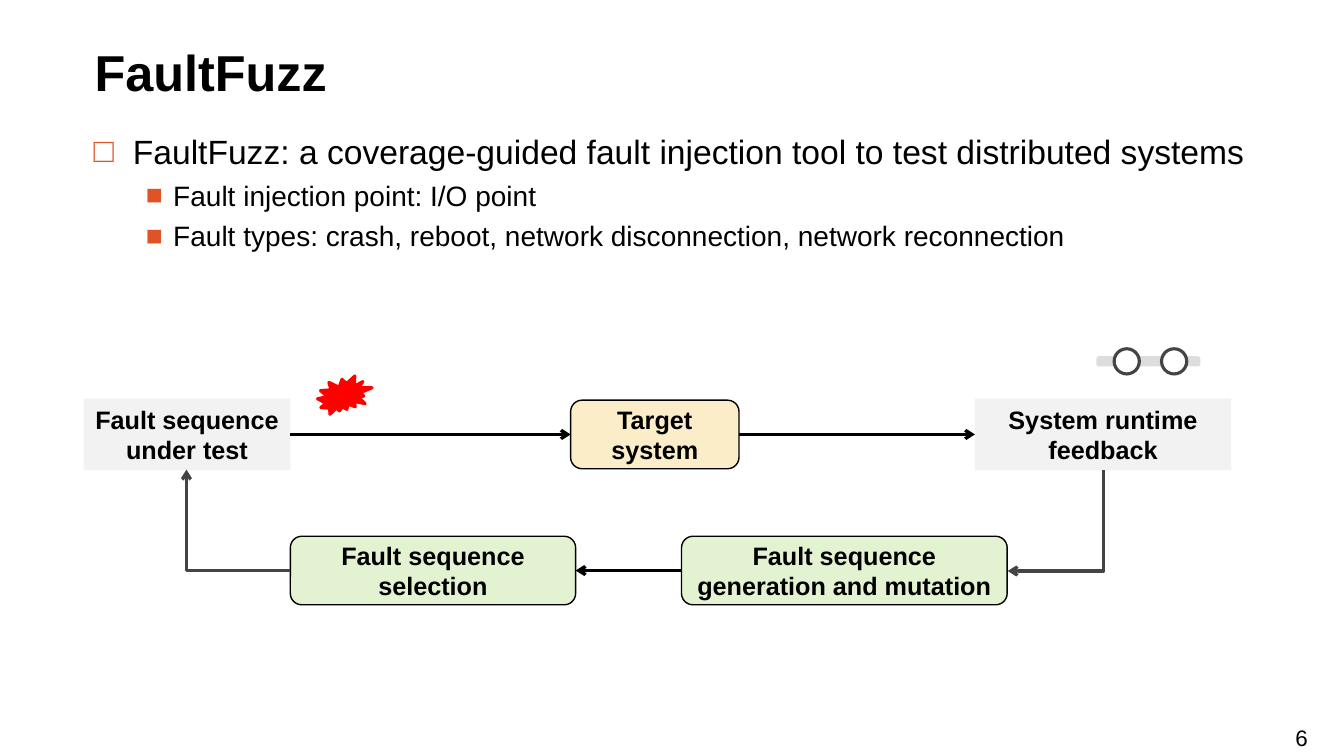
import pptx
import pptx.util
import pptx.dml.color
import pptx.enum.shapes
import pptx.enum.text
import lxml.etree

Inches, Pt = pptx.util.Inches, pptx.util.Pt
RGBColor = pptx.dml.color.RGBColor
SHAPE = pptx.enum.shapes.MSO_SHAPE
CONNECTOR = pptx.enum.shapes.MSO_CONNECTOR
ANCHOR = pptx.enum.text.MSO_ANCHOR
ALIGN = pptx.enum.text.PP_ALIGN

BLACK = RGBColor(0, 0, 0)
WHITE = RGBColor(0xFF, 0xFF, 0xFF)
DARK_GRAY = RGBColor(0x44, 0x44, 0x44)
MID_GRAY = RGBColor(0xDD, 0xDD, 0xDD)
LIGHT_GRAY = RGBColor(0xF2, 0xF2, 0xF2)
CREAM = RGBColor(0xFC, 0xED, 0xC9)
GREEN = RGBColor(0xE3, 0xF3, 0xD1)
RED = RGBColor(0xFF, 0, 0)
ORANGE = RGBColor(0xDF, 0x53, 0x27)

deck = pptx.Presentation()
deck.slide_width, deck.slide_height = Inches(13.33), Inches(7.5)
slide = deck.slides.add_slide(deck.slide_layouts[6])
shapes = slide.shapes


def add_figure(kind, left, top, width, height, fill, line=None, weight=2.25):
    figure = shapes.add_shape(kind, Inches(left), Inches(top), Inches(width), Inches(height))
    figure.shadow.inherit = False
    figure.fill.solid()
    figure.fill.fore_color.rgb = fill
    if line is None:
        figure.line.fill.background()
    else:
        figure.line.color.rgb = line
        figure.line.width = Pt(weight)
    return figure


def add_arrow(kind, start, end, color):
    arrow = shapes.add_connector(kind, *(Inches(n) for n in start + end))
    arrow.line.color.rgb = color
    arrow.line.width = Pt(2.25)
    properties = arrow._element.spPr
    outline = properties.find(pptx.oxml.ns.qn("a:ln"))
    lxml.etree.SubElement(outline, pptx.oxml.ns.qn("a:tailEnd"), type="arrow")
    lxml.etree.SubElement(properties, pptx.oxml.ns.qn("a:effectLst"))
    return arrow


# Title, bullets and page number: place, anchor, alignment, (text, size, bold, bullet, indent, hang)
texts = [
    ((0.84, 0.33, 11.67, 0.73), ANCHOR.BOTTOM, ALIGN.LEFT,
     [("FaultFuzz", 36, True, None, 0, 0)]),
    ((0.83, 1.25, 11.67, 1.66), ANCHOR.TOP, ALIGN.LEFT,
     [("FaultFuzz: a coverage-guided fault injection tool to test distributed systems",
       24, False, "□", 0.39, 0.39),
      ("Fault injection point: I/O point", 20, False, "■", 0.79, 0.27),
      ("Fault types: crash, reboot, network disconnection, network reconnection",
       20, False, "■", 0.79, 0.27)]),
    ((12.49, 7.13, 0.84, 0.35), ANCHOR.TOP, ALIGN.CENTER,
     [("6", 16, False, None, 0, 0)]),
]
for place, anchor, alignment, lines in texts:
    frame = shapes.add_textbox(*(Inches(n) for n in place)).text_frame
    frame.word_wrap = True
    frame.vertical_anchor = anchor
    for number, (text, size, bold, bullet, indent, hang) in enumerate(lines):
        paragraph = frame.add_paragraph() if number else frame.paragraphs[0]
        paragraph.text = text
        paragraph.alignment = alignment
        if number:
            paragraph.level = 1
            paragraph.space_before = Pt(5)
        if bullet:
            properties = paragraph._p.get_or_add_pPr()
            properties.set("marL", str(Inches(indent)))
            properties.set("indent", str(-Inches(hang)))
            tint = lxml.etree.SubElement(properties, pptx.oxml.ns.qn("a:buClr"))
            lxml.etree.SubElement(tint, pptx.oxml.ns.qn("a:srgbClr"), val=str(ORANGE))
            lxml.etree.SubElement(properties, pptx.oxml.ns.qn("a:buFont"), typeface="Arial")
            lxml.etree.SubElement(properties, pptx.oxml.ns.qn("a:buChar"), char=bullet)
        paragraph.font.name = "Arial"
        paragraph.font.size = Pt(size)
        paragraph.font.bold = bold
        paragraph.font.color.rgb = BLACK

# Steps of the fuzzing loop, in two rows around their middle lines
UPPER, LOWER = 4.31, 5.66
steps = [
    ("Fault sequence under test", SHAPE.RECTANGLE, 0.83, UPPER, 2.05, 0.71, LIGHT_GRAY, None),
    ("Target system", SHAPE.ROUNDED_RECTANGLE, 5.66, UPPER, 1.67, 0.68, CREAM, BLACK),
    ("System runtime feedback", SHAPE.RECTANGLE, 9.67, UPPER, 2.54, 0.71, LIGHT_GRAY, None),
    ("Fault sequence generation and mutation", SHAPE.ROUNDED_RECTANGLE,
     6.76, LOWER, 3.23, 0.68, GREEN, BLACK),
    ("Fault sequence selection", SHAPE.ROUNDED_RECTANGLE, 2.88, LOWER, 2.83, 0.68, GREEN, BLACK),
]
boxes = []
for text, kind, left, middle, width, height, fill, line in steps:
    box = add_figure(kind, left, middle - height / 2, width, height, fill, line, 1)
    frame = box.text_frame
    frame.text = text
    frame.word_wrap = True
    frame.margin_left = frame.margin_right = Inches(0.05)
    frame.vertical_anchor = ANCHOR.MIDDLE
    paragraph = frame.paragraphs[0]
    paragraph.alignment = ALIGN.CENTER
    paragraph.font.name = "Arial"
    paragraph.font.size = Pt(18)
    paragraph.font.bold = True
    paragraph.font.color.rgb = BLACK
    boxes.append(box)
under_test, target, feedback, mutation, selection = boxes

for source, source_side, goal, goal_side in [
    (under_test, 3, target, 1), (target, 3, feedback, 1), (mutation, 1, selection, 3),
]:
    arrow = add_arrow(CONNECTOR.STRAIGHT, (0, 0), (1, 1), BLACK)
    arrow.begin_connect(source, source_side)
    arrow.end_connect(goal, goal_side)

# One-bend arrows; the first is laid out unturned, then rotated a quarter turn
to_mutation = add_arrow(CONNECTOR.ELBOW, (9.97, 4.69), (10.97, 5.64), DARK_GRAY)
to_mutation._element.spPr.find(pptx.oxml.ns.qn("a:xfrm")).set("rot", str(90 * 60000))
to_test = add_arrow(CONNECTOR.ELBOW, (2.88, LOWER), (1.85, 4.66), DARK_GRAY)
for arrow in (to_mutation, to_test):
    arrow._element.spPr.find(pptx.oxml.ns.qn("a:prstGeom")).set("prst", "bentConnector2")

# Coverage track with two points, and the injected fault
add_figure(SHAPE.ROUNDED_RECTANGLE, 10.89, 3.55, 1, 0.07, MID_GRAY, MID_GRAY)
for left in (11.05, 11.52):
    add_figure(SHAPE.OVAL, left, 3.46, 0.25, 0.25, WHITE, DARK_GRAY)
add_figure(SHAPE.EXPLOSION2, 3.15, 3.73, 0.54, 0.38, RED, RED)

deck.save("out.pptx")
